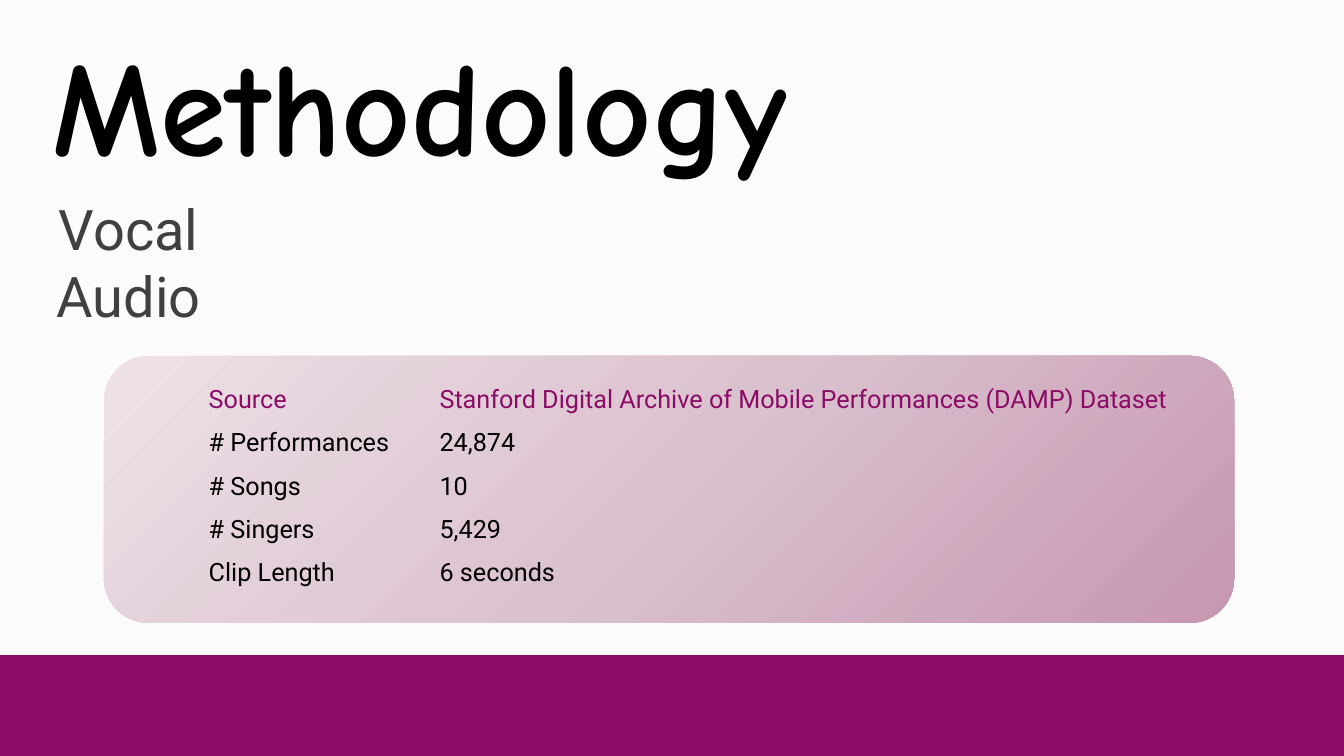
import pptx
import pptx.util
import pptx.dml.color
import pptx.enum.shapes
import pptx.enum.text
import pptx.oxml
import pptx.oxml.ns

Inches = pptx.util.Inches
Kind = pptx.enum.shapes.MSO_SHAPE
Align = pptx.enum.text.PP_ALIGN

TITLE = ["Methodology"]
TOPIC = ["Vocal", "Audio"]
FACTS = [
    ("Source", "Stanford Digital Archive of Mobile Performances (DAMP) Dataset"),
    ("# Performances", "24,874"),
    ("# Songs", "10"),
    ("# Singers", "5,429"),
    ("Clip Length", "6 seconds"),
]
COLORS = {"paper": "FBFBFB", "plum": "8B0C67", "black": "000000", "gray": "404040"}
GLOW = [(0, "C697B0"), (50, "DAC1CE"), (100, "EDE1E7")]
FONTS = {
    "title": {"name": "Comic Neue", "size": 96, "bold": True, "color": "black"},
    "topic": {"name": "Roboto", "size": 40, "color": "gray"},
    "head": {"name": "Roboto", "size": 18, "bold": False, "color": "plum"},
    "body": {"name": "Roboto", "size": 18, "bold": False, "color": "black"},
}
WIDE, HIGH, BAND = 13.33, 7.5, 1
COLS = [2.29, 7.99]
ROW = 0.43


def rgb(name):
    return pptx.dml.color.RGBColor.from_string(COLORS[name])


def write(frame, lines, style, align=Align.LEFT):
    for i, line in enumerate(lines):
        para = frame.paragraphs[0] if i == 0 else frame.add_paragraph()
        para.alignment = align
        run = para.add_run()
        run.text = line
        for key, value in FONTS[style].items():
            if key == "color":
                run.font.color.rgb = rgb(value)
            else:
                setattr(run.font, key, pptx.util.Pt(value) if key == "size" else value)


def add_text(slide, box, lines, style, align=Align.LEFT, wrap=True):
    frame = slide.shapes.add_textbox(*map(Inches, box)).text_frame
    frame.word_wrap = wrap
    frame.auto_size = pptx.enum.text.MSO_AUTO_SIZE.SHAPE_TO_FIT_TEXT
    write(frame, lines, style, align)


def add_block(slide, kind, box, color=None):
    shape = slide.shapes.add_shape(kind, *map(Inches, box))
    shape.shadow.inherit = False
    shape.line.fill.background()
    if color:
        shape.fill.solid()
        shape.fill.fore_color.rgb = rgb(color)
    return shape


def add_glow(shape):
    """Fill the shape with a gradient that spreads from its lower right corner."""
    stops = "".join(
        f'<a:gs pos="{pos * 1000}"><a:srgbClr val="{color}"/></a:gs>' for pos, color in GLOW
    )
    fill = pptx.oxml.parse_xml(
        f'<a:gradFill {pptx.oxml.ns.nsdecls("a")} rotWithShape="1"><a:gsLst>{stops}</a:gsLst>'
        '<a:path path="circle"><a:fillToRect l="100000" t="100000"/></a:path></a:gradFill>'
    )
    shape.element.spPr.find(pptx.oxml.ns.qn("a:prstGeom")).addnext(fill)


def add_facts(slide, left, top):
    size = (left, top, sum(COLS), ROW * len(FACTS))
    table = slide.shapes.add_table(len(FACTS), len(COLS), *map(Inches, size)).table
    table.first_row = table.horz_banding = False
    for col, width in zip(table.columns, COLS):
        col.width = Inches(width)
    for r, fact in enumerate(FACTS):
        for c, text in enumerate(fact):
            cell = table.cell(r, c)
            cell.fill.background()
            write(cell.text_frame, [text], "body" if r else "head")
    style = table._tbl.tblPr.find(pptx.oxml.ns.qn("a:tableStyleId"))
    style.text = "{2D5ABB26-0587-4C30-8999-92F81FD0307C}"


def main():
    deck = pptx.Presentation()
    deck.slide_width, deck.slide_height = Inches(WIDE), Inches(HIGH)
    slide = deck.slides.add_slide(deck.slide_layouts[6])
    add_block(slide, Kind.RECTANGLE, (0, 0, WIDE, HIGH), "paper")
    add_text(slide, (0.42, 0.17, 8.74, 1.72), TITLE, "title")
    add_block(slide, Kind.RECTANGLE, (0, HIGH - BAND, WIDE, BAND), "plum")
    add_glow(add_block(slide, Kind.ROUNDED_RECTANGLE, (1.03, 3.53, 11.21, 2.65)))
    add_facts(slide, 1.97, 3.77)
    add_text(slide, (0.42, 1.88, 1.71, 1.45), TOPIC, "topic", Align.CENTER, False)
    deck.save("out.pptx")


if __name__ == "__main__":
    main()
